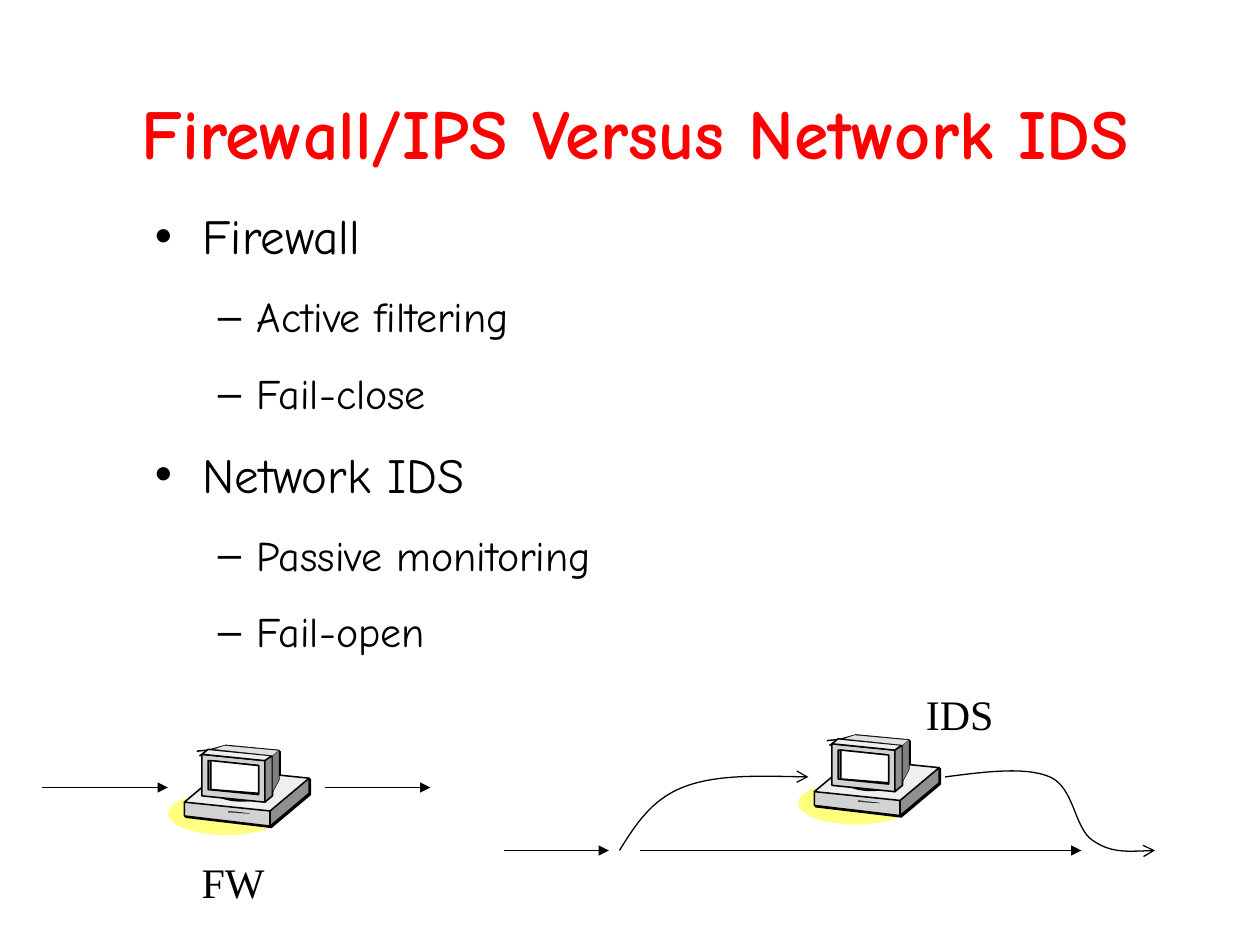
from dataclasses import dataclass
from typing import Any

from lxml.etree import SubElement
from pptx import Presentation
from pptx.dml.color import RGBColor
from pptx.enum.shapes import MSO_CONNECTOR, MSO_SHAPE
from pptx.enum.text import MSO_ANCHOR, MSO_AUTO_SIZE, PP_ALIGN
from pptx.oxml.ns import qn
from pptx.util import Inches, Pt

COLS, ROWS = 120, 90
CELL = Inches(10) / COLS
UNIT = 0.12
INK = {"black": "000000", "red": "FF0000", "glow": "FFFF80", "white": "FFFFFF",
       "pale": "EFEFEF", "light": "E1E1E1", "mid": "D2D2D2", "dim": "8F8F8F",
       "grey": "808080", "dark": "5F5F5F"}

BASE = [("pale", [(35, 3), (46, 0), (88, 4), (81, 10)]),
        ("dim", [(81, 51), (81, 64), (112, 38), (112, 26), (95, 31)]),
        ("mid", [(13, 45), (13, 56), (81, 64), (81, 50), (19, 44)]),
        ("pale", [(13, 45), (44, 19), (112, 26), (81, 52)])]
CASE = [("mid", [(27, 7), (27, 40), (77, 45), (77, 12)]),
        ("pale", [(27, 7), (32, 3), (83, 8), (77, 12)]),
        ("dim", [(88, 4), (88, 27), (81, 40), (80, 10)]),
        ("dim", [(83, 8), (83, 40), (77, 45), (77, 12)])]
GLASS = [("grey", [(32, 12), (72, 16), (72, 39), (32, 35)]),
         ("white", [(34, 12), (72, 16), (72, 38), (34, 35)])]
TRIM = [("grey", [(83, 37), (83, 8), (88, 4), (88, 28)]),
        ("light", [(36, 3), (83, 8), (88, 4), (45, 0)]),
        ("dark", [(65, 54), (48, 52), (48, 53), (65, 54)])]


def tone(name):
    """Return a palette colour."""
    return RGBColor.from_string(INK[name])


def cells(*nums):
    """Turn grid counts into lengths."""
    return [round(num * CELL) for num in nums]


def write(para, text, size=24, font="Comic Neue", color="black", bold=False,
          align=None, before=0, after=0):
    """Put formatted text in a paragraph."""
    run = para.add_run()
    run.text = text
    run.font.size, run.font.name, run.font.bold = Pt(size), font, bold
    run.font.color.rgb = tone(color)
    para.alignment = align
    para.space_before, para.space_after = Pt(before), Pt(after)


def mark(para, sign, left, hang):
    """Give a paragraph a hanging bullet."""
    props = para._p.get_or_add_pPr()
    props.set("marL", str(Inches(left)))
    props.set("indent", str(-Inches(hang)))
    hue = SubElement(props, qn("a:buClr"))
    SubElement(hue, qn("a:srgbClr"), val=INK["black"])
    SubElement(props, qn("a:buChar"), char=sign)


@dataclass
class Deck:
    """Holds the style and the current slide."""
    slide: Any
    thin: float = 0.75
    edge: float = 0.88
    hair: float = 0.11
    serif: str = "Times New Roman"

    def place(self, holder, *box):
        """Move a placeholder and return its text frame."""
        holder.left, holder.top, holder.width, holder.height = cells(*box)
        holder.text_frame.auto_size = MSO_AUTO_SIZE.NONE
        return holder.text_frame

    def title(self, text, *box):
        """Fill the title."""
        frame = self.place(self.slide.shapes.title, *box)
        frame.vertical_anchor = MSO_ANCHOR.MIDDLE
        write(frame.paragraphs[0], text, size=40, color="red", bold=True,
              align=PP_ALIGN.CENTER, before=12, after=3)

    def bullets(self, items, *box):
        """Fill the body with a two-level list."""
        frame = self.place(self.slide.placeholders[1], *box)
        for num, (level, text) in enumerate(items):
            para = frame.add_paragraph() if num else frame.paragraphs[0]
            para.level = level
            write(para, text, size=(28, 24)[level], before=12, after=3)
            mark(para, "•–"[level], (0.38, 0.81)[level], (0.38, 0.31)[level])

    def label(self, text, *box):
        """Add a centred caption that grows with its text."""
        frame = self.slide.shapes.add_textbox(*cells(*box)).text_frame
        frame.word_wrap = False
        frame.auto_size = MSO_AUTO_SIZE.SHAPE_TO_FIT_TEXT
        write(frame.paragraphs[0], text, font=self.serif, align=PP_ALIGN.CENTER)

    def stroke(self, shape, width, head=None):
        """Set a black outline, with an arrowhead if named."""
        shape.line.color.rgb = tone("black")
        shape.line.width = Pt(width)
        if head:
            SubElement(shape.element.spPr.find(qn("a:ln")), qn("a:tailEnd"), type=head)

    def arrow(self, start, end, head="triangle", width=None, home=None):
        """Draw a straight arrow."""
        shapes = (home or self.slide).shapes
        line = shapes.add_connector(MSO_CONNECTOR.STRAIGHT, *cells(*start, *end))
        self.stroke(line, width or self.thin, head)
        SubElement(line.element.spPr, qn("a:effectLst"))

    def outline(self, spots, home=None, close=True):
        """Build a freeform through grid points."""
        spots = [cells(*spot) for spot in spots]
        form = (home or self.slide).shapes.build_freeform(*spots[0])
        form.add_line_segments(spots[1:], close=close)
        shape = form.convert_to_shape()
        shape.shadow.inherit = False
        return shape

    def curve(self, spots):
        """Draw an arrow along cubic curves."""
        shape = self.outline(spots, close=False)
        shape.fill.background()
        self.stroke(shape, self.thin, "arrow")
        track = next(shape.element.iter(qn("a:path")))
        steps = track.findall(qn("a:lnTo"))
        for num in range(0, len(steps), 3):
            bend = SubElement(track, qn("a:cubicBezTo"))
            for step in steps[num:num + 3]:
                bend.append(step[0])
                track.remove(step)

    def oval(self, home, color, *box):
        """Add an ellipse without a line."""
        shape = home.shapes.add_shape(MSO_SHAPE.OVAL, *cells(*box))
        shape.shadow.inherit = False
        shape.fill.solid()
        shape.fill.fore_color.rgb = tone(color)
        shape.line.fill.background()
        return shape

    def computer(self, left, top):
        """Draw a desktop computer as one group."""
        group = self.slide.shapes.add_group_shape()

        def spot(x, y):
            """Map a point of the drawing to the grid."""
            return left + x * UNIT, top + y * UNIT

        def faces(parts, width=self.edge, color=None, shift=0):
            """Draw filled faces."""
            for shade, points in parts:
                shape = self.outline([spot(x + shift, y + shift) for x, y in points], group)
                shape.fill.solid()
                shape.fill.fore_color.rgb = tone(color or shade)
                self.stroke(shape, width)

        self.oval(group, "glow", *spot(0, 37), 92 * UNIT, 34 * UNIT)
        faces(BASE + CASE, color="black", shift=1)
        faces(BASE)
        foot = self.oval(group, "dim", *spot(36, 26), 45 * UNIT, 18 * UNIT)
        self.stroke(foot, self.edge)
        self.arrow(spot(27, 7), spot(33, 3), "arrow", self.edge, group)
        faces(CASE + GLASS)
        faces(TRIM, self.hair)


def main():
    """Build and save the slide."""
    show = Presentation()
    show.slide_width, show.slide_height = cells(COLS, ROWS)
    deck = Deck(show.slides.add_slide(show.slide_layouts[1]))
    deck.title("Firewall/IPS Versus Network IDS", 4, 3, 113, 19)
    deck.bullets([(0, "Firewall"), (1, "Active filtering"), (1, "Fail-close"),
                  (0, "Network IDS"), (1, "Passive monitoring"), (1, "Fail-open")],
                 13.55, 19, 97.5, 47)
    deck.computer(16, 71)
    deck.computer(76, 70)
    for start, end, row in [(4, 16, 75), (31, 41, 75), (48, 58, 81), (61, 103, 81)]:
        deck.arrow((start, row), (end, row))
    deck.curve([(59, 81), (60.5, 78.6), (62, 76.2), (65, 75),
                (68, 73.8), (72.5, 73.9), (77, 74)])
    deck.curve([(90, 74), (93.8, 73.5), (97.7, 73), (100, 74), (102.3, 75), (102.3, 78.8),
                (104, 80), (105.7, 81.2), (107.9, 81.1), (110, 81)])
    deck.label("FW", 18, 81, 8.4, 6)
    deck.label("IDS", 86.9, 65, 9, 6)
    show.save("out.pptx")


if __name__ == "__main__":
    main()
